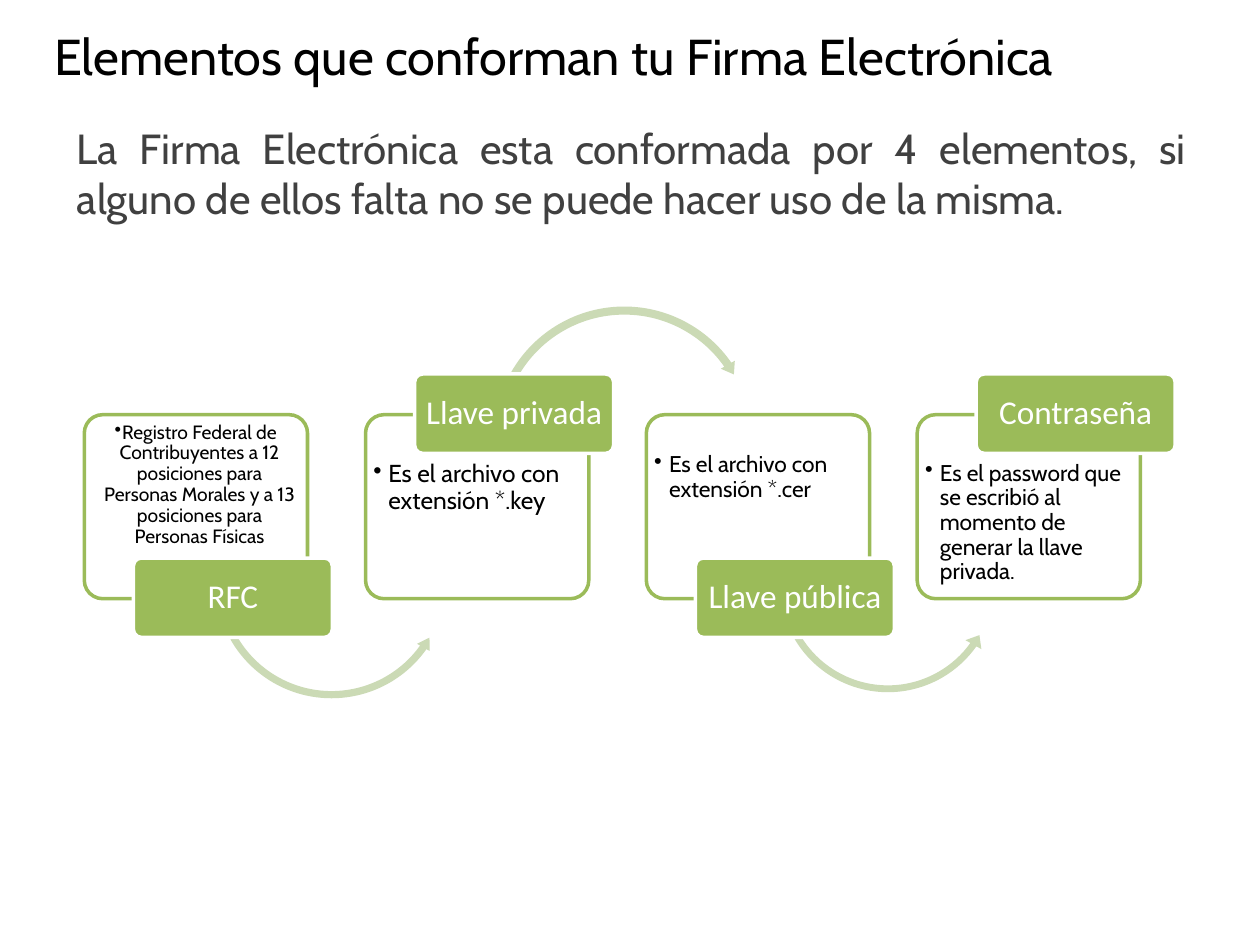
"""Build a slide on the four elements of an electronic signature."""
from lxml import etree
from pptx import Presentation, util as u
from pptx.dml import color
from pptx.enum import shapes, text as t
from pptx.oxml import ns

TITLE = "Elementos que conforman tu Firma Electrónica"
INTRO = ("La Firma Electrónica esta conformada por 4 elementos, "
         "si alguno de ellos falta no se puede hacer uso de la misma.")
GREEN, PALE, WHITE, BLACK, GREY = "9BBB59", "CBDAB5", "FFFFFF", "000000", "404040"

ELEMENTS = [
    dict(label="RFC", left=1.70, label_shift=0.99, low=True, size=11, inset=0.05,
         hanging=0.15, align=t.PP_ALIGN.CENTER,
         detail="Registro Federal de Contribuyentes a 12 posiciones para "
                "Personas Morales y a 13 posiciones para Personas Físicas"),
    dict(label="Llave privada", left=7.37, label_shift=0.99, low=False, size=14, inset=0.84,
         hanging=0.3, align=t.PP_ALIGN.LEFT, detail="Es el archivo con extensión *.key"),
    dict(label="Llave pública", left=13.03, label_shift=0.99, low=True, size=13, inset=0.66,
         hanging=0.3, align=t.PP_ALIGN.LEFT, detail="Es el archivo con extensión *.cer"),
    dict(label="Contraseña", left=18.49, label_shift=1.19, low=False, size=13, inset=0.84,
         hanging=0.3, align=t.PP_ALIGN.LEFT,
         detail="Es el password que se escribió al momento de generar la llave privada."),
]

KIND = shapes.MSO_SHAPE
ARROWS = [
    (KIND.LEFT_CIRCULAR_ARROW, 4.27, 9.32, 4.83, (0.03, 3.51, 21.26, 90.25, 0.03)),
    (KIND.CIRCULAR_ARROW, 9.88, 6.10, 5.41, (0.03, 3.11, 195.13, 125.76, 0.03)),
    (KIND.LEFT_CIRCULAR_ARROW, 15.60, 9.47, 4.60, (0.03, 3.69, 21.25, 90.06, 0.04)),
]

CARD_TOP, CARD_WIDTH, CARD_HEIGHT = 8.36, 4.50, 3.71
LABEL_WIDTH, LABEL_HEIGHT = 4.01, 1.60
LABEL_TOP = {True: 11.25, False: 7.54}


def rgb(value):
    return color.RGBColor.from_string(value)


def write(box, text, size, ink, font="Cabin", align=t.PP_ALIGN.LEFT,
          anchor=t.MSO_ANCHOR.TOP, insets=(0.25, 0.13, 0.25, 0.13), spacing=1.0, hanging=0):
    frame = box.text_frame
    frame.word_wrap = True
    frame.vertical_anchor = anchor
    (frame.margin_left, frame.margin_top,
     frame.margin_right, frame.margin_bottom) = map(u.Cm, insets)
    para = frame.paragraphs[0]
    para.alignment = align
    para.line_spacing = spacing
    span = para.add_run()
    span.text = text
    span.font.size = u.Pt(size)
    span.font.name = font
    span.font.color.rgb = rgb(ink)
    if hanging:
        settings = para._p.get_or_add_pPr()
        settings.set("marL", str(u.Cm(hanging)))
        settings.set("indent", str(-u.Cm(hanging)))
        etree.SubElement(settings, ns.qn("a:buChar")).set("char", "•")


def add_text(page, area, text, **style):
    write(page.shapes.add_textbox(*map(u.Cm, area)), text, **style)


def add_figure(page, kind, area, fill, outline=None, adjustments=(0.1,)):
    figure = page.shapes.add_shape(kind, *map(u.Cm, area))
    figure.shadow.inherit = False
    figure.fill.solid()
    figure.fill.fore_color.rgb = rgb(fill)
    if outline:
        figure.line.color.rgb = rgb(outline)
        figure.line.width = u.Pt(2)
    else:
        figure.line.fill.background()
    for index, value in enumerate(adjustments):
        figure.adjustments[index] = value
    return figure


def add_card(page, item):
    area = (item["left"], CARD_TOP, CARD_WIDTH, CARD_HEIGHT)
    card = add_figure(page, KIND.ROUNDED_RECTANGLE, area, WHITE, GREEN)
    write(card, item["detail"], item["size"], BLACK, align=item["align"], spacing=0.9,
          insets=(0.05, item["inset"], 0.05, 0.05), hanging=item["hanging"])


def add_label(page, item):
    area = (item["left"] + item["label_shift"], LABEL_TOP[item["low"]],
            LABEL_WIDTH, LABEL_HEIGHT)
    label = add_figure(page, KIND.ROUNDED_RECTANGLE, area, GREEN, WHITE)
    write(label, item["label"], 19, WHITE, font="Calibri", align=t.PP_ALIGN.CENTER,
          anchor=t.MSO_ANCHOR.MIDDLE, insets=(0.1, 0.08, 0.1, 0.08), spacing=0.9)


def main():
    deck = Presentation()
    deck.slide_width, deck.slide_height = u.Cm(25.4), u.Cm(19.05)
    page = deck.slides.add_slide(deck.slide_layouts[6])
    add_text(page, (0.84, 0.53, 22.86, 1.17), TITLE, size=28.8, ink=BLACK,
             anchor=t.MSO_ANCHOR.MIDDLE)
    add_text(page, (1.30, 2.34, 22.86, 13.77), INTRO, size=24, ink=GREY,
             align=t.PP_ALIGN.JUSTIFY)
    for item in ELEMENTS:
        add_card(page, item)
    for kind, left, top, side, adjustments in ARROWS:
        add_figure(page, kind, (left, top, side, side), PALE, adjustments=adjustments)
    for item in ELEMENTS:
        add_label(page, item)
    deck.save("out.pptx")


if __name__ == "__main__":
    main()
